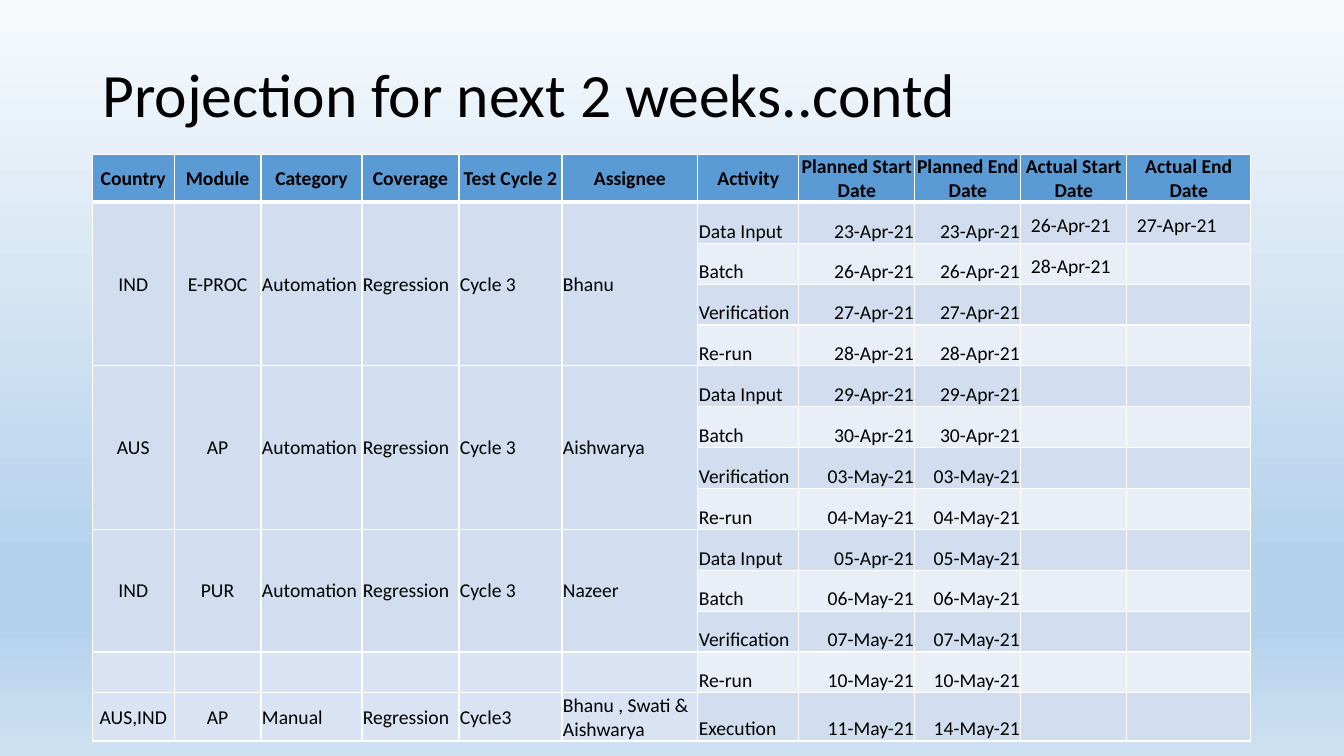
from pptx import Presentation
from pptx.util import Pt
from pptx.dml.color import RGBColor
from pptx.enum.text import MSO_ANCHOR as Anchor, PP_ALIGN as Align
from pptx.oxml.ns import qn
from lxml.etree import SubElement

COLORS = {
    "text": "000000",
    "border": "FFFFFF",
    "header": "5B9BD5",
    "band_dark": "D2DEEF",
    "band_light": "EAEFF7",
    "manual": "DAE3F3",
}
SKY_STOPS = [(0, "F7FAFD"), (74, "B5D2EC"), (83, "B5D2EC"), (100, "CEE1F2")]
HEADERS = ["Country", "Module", "Category", "Coverage", "Test Cycle 2", "Assignee", "Activity",
           "Planned Start Date", "Planned End Date", "Actual Start Date", "Actual End Date"]
COLUMN_WIDTHS = [58.4, 62.1, 72.1, 69.3, 73.6, 97.1, 72.1, 82.9, 75.7, 75.7, 88.6]
ROW_HEIGHT = 29.2
GROUPS = {
    1: (4, ["IND", "E-PROC", "Automation", "Regression", "Cycle 3", "Bhanu"]),
    5: (4, ["AUS", "AP", "Automation", "Regression", "Cycle 3", "Aishwarya"]),
    9: (3, ["IND", "PUR", "Automation", "Regression", "Cycle 3", "Nazeer"]),
    13: (1, ["AUS,IND", "AP", "Manual", "Regression", "Cycle3", "Bhanu , Swati & Aishwarya"]),
}
ACTIVITIES = [
    ["Data Input", "23-Apr-21", "23-Apr-21", "26-Apr-21", "27-Apr-21"],
    ["Batch", "26-Apr-21", "26-Apr-21", "28-Apr-21", ""],
    ["Verification", "27-Apr-21", "27-Apr-21", "", ""],
    ["Re-run", "28-Apr-21", "28-Apr-21", "", ""],
    ["Data Input", "29-Apr-21", "29-Apr-21", "", ""],
    ["Batch", "30-Apr-21", "30-Apr-21", "", ""],
    ["Verification", "03-May-21", "03-May-21", "", ""],
    ["Re-run", "04-May-21", "04-May-21", "", ""],
    ["Data Input", "05-Apr-21", "05-May-21", "", ""],
    ["Batch", "06-May-21", "06-May-21", "", ""],
    ["Verification", "07-May-21", "07-May-21", "", ""],
    ["Re-run", "10-May-21", "10-May-21", "", ""],
    ["Execution", "11-May-21", "14-May-21", "", ""],
]


def format_runs(paragraph, size, bold=False):
    for run in paragraph.runs:
        run.font.name = "Calibri"
        run.font.size = Pt(size)
        run.font.bold = bold
        run.font.color.rgb = RGBColor.from_string(COLORS["text"])


def add_border(cell, side, width):
    properties = cell._tc.get_or_add_tcPr()
    line = SubElement(properties, qn(f"a:ln{side}"), w=str(Pt(width)))
    SubElement(SubElement(line, qn("a:solidFill")), qn("a:srgbClr"), val=COLORS["border"])


presentation = Presentation()
presentation.slide_width = Pt(960)
presentation.slide_height = Pt(540)
slide = presentation.slides.add_slide(presentation.slide_layouts[6])

slide.background.fill.gradient()
slide.background.fill.gradient_angle = 270
stop_list = slide.element.find(".//" + qn("a:gsLst"))
for stop in list(stop_list):
    stop_list.remove(stop)
for position, color in SKY_STOPS:
    stop = SubElement(stop_list, qn("a:gs"), pos=str(position * 1000))
    SubElement(stop, qn("a:srgbClr"), val=color)

title = slide.shapes.add_textbox(Pt(66), Pt(28.8), Pt(828), Pt(81.4))
title.text_frame.word_wrap = True
title.text_frame.vertical_anchor = Anchor.MIDDLE
title.text_frame.text = "Projection for next 2 weeks..contd"
title_paragraph = title.text_frame.paragraphs[0]
title_paragraph.line_spacing = 0.9
format_runs(title_paragraph, 44)

row_count = len(ACTIVITIES) + 1
table = slide.shapes.add_table(row_count, len(HEADERS), Pt(66), Pt(110.2),
                               Pt(sum(COLUMN_WIDTHS)), Pt(row_count * ROW_HEIGHT)).table
for column, width in zip(table.columns, COLUMN_WIDTHS):
    column.width = Pt(width)
for row in table.rows:
    row.height = Pt(ROW_HEIGHT)

rows = [HEADERS]
for number, activity in enumerate(ACTIVITIES, 1):
    span, group = GROUPS.get(number, (1, [""] * 6))
    rows.append(group + activity)
    if span > 1:
        for column_index in range(6):
            table.cell(number, column_index).merge(table.cell(number + span - 1, column_index))

for row_index, texts in enumerate(rows):
    for column_index, text in enumerate(texts):
        cell = table.cell(row_index, column_index)
        is_header = row_index == 0
        if is_header:
            fill = "header"
        elif column_index < 6:
            fill = "manual" if row_index >= 12 else "band_dark"
        else:
            fill = "band_dark" if row_index % 2 else "band_light"

        add_border(cell, "L", 1)
        add_border(cell, "R", 1)
        add_border(cell, "T", 3 if row_index == 1 else 1)
        add_border(cell, "B", 3 if is_header else 1)
        cell.fill.solid()
        cell.fill.fore_color.rgb = RGBColor.from_string(COLORS[fill])
        if not text:
            continue

        cell.text_frame.text = text
        paragraph = cell.text_frame.paragraphs[0]
        format_runs(paragraph, 14, is_header)
        cell.vertical_anchor = Anchor.MIDDLE if is_header or column_index < 6 else Anchor.BOTTOM
        if is_header or column_index < 2:
            paragraph.alignment = Align.CENTER
        elif column_index in (7, 8):
            paragraph.alignment = Align.RIGHT
        else:
            paragraph.alignment = Align.LEFT
        if is_header or column_index < 9:
            cell.margin_left = cell.margin_right = cell.margin_top = Pt(0.7)
            cell.margin_bottom = Pt(0)

presentation.save("out.pptx")
